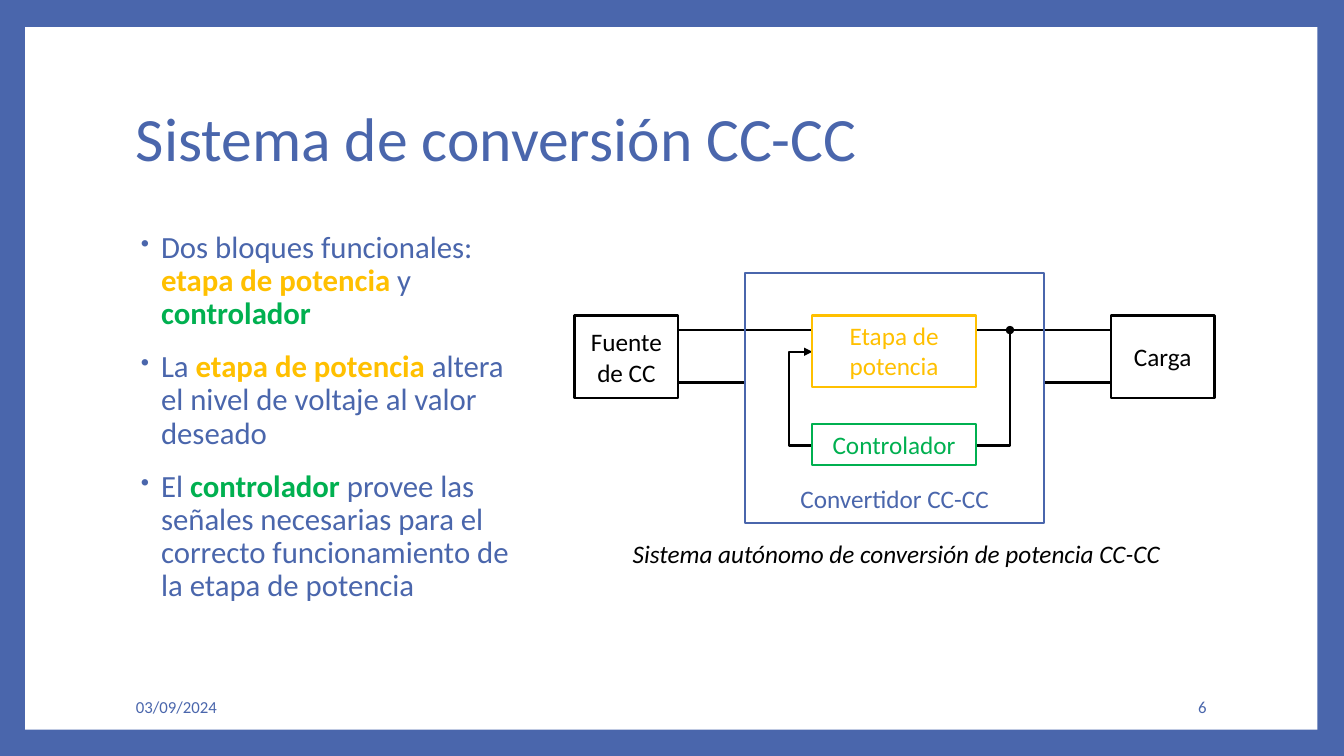
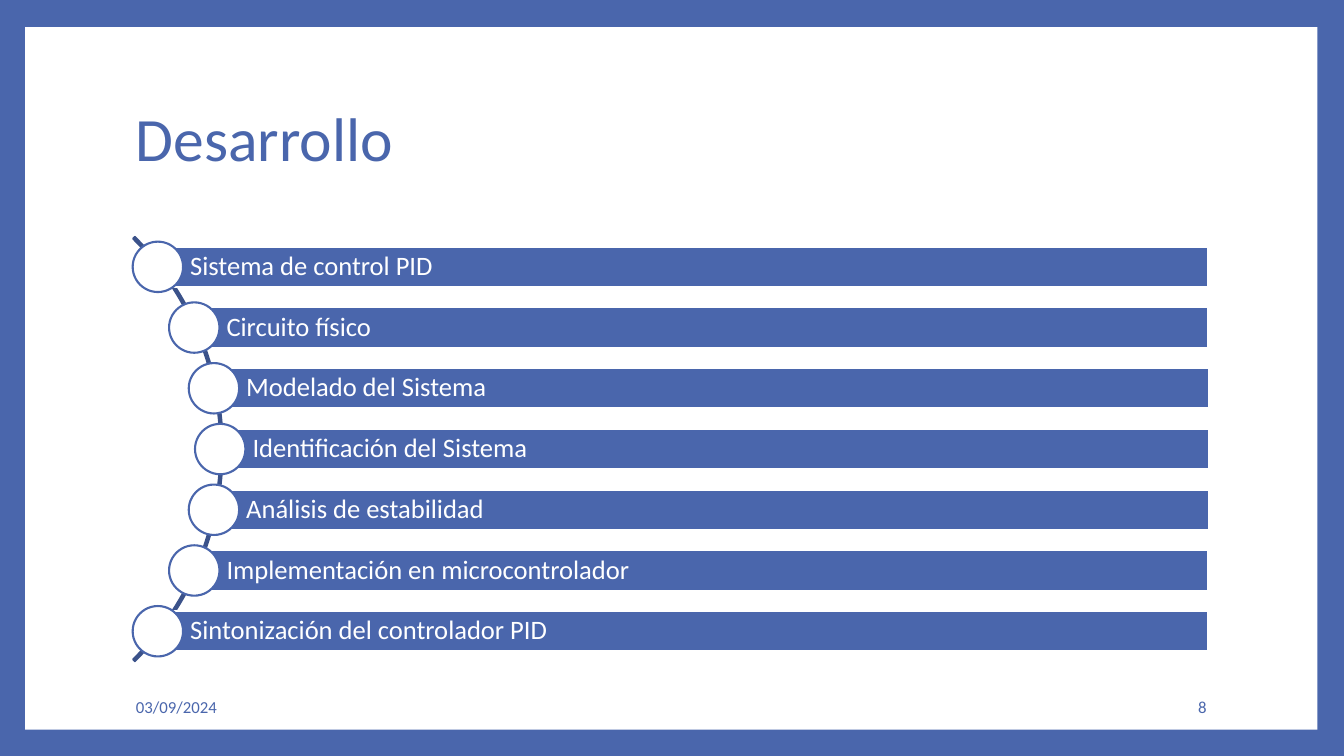
from math import sqrt

from lxml.etree import SubElement
from pptx import Presentation
from pptx.dml.color import RGBColor
from pptx.enum.shapes import MSO_CONNECTOR, MSO_SHAPE
from pptx.enum.text import MSO_ANCHOR, PP_ALIGN
from pptx.oxml.ns import qn
from pptx.util import Emu, Inches, Pt

COLORS = {
    "blue": "4A66AC",
    "navy": "3B528A",
    "white": "FFFFFF",
    "black": "000000",
    "amber": "FFC000",
    "green": "00B050",
}
FONT = "Calibri"
LINE_WIDTH = Pt(1.5)

# The slide is a grid of 160 columns by 90 rows of square cells.
COLUMNS, ROWS = 160, 90
CELL = Inches(1 / 12)

TITLE_FORMAT = {"line_spacing": 0.9}
BODY_FORMAT = {"line_spacing": 0.9, "space_before": Pt(14)}
CENTERED = {"alignment": PP_ALIGN.CENTER}
RIGHT = {"alignment": PP_ALIGN.RIGHT}


def add_box(slide, geometry, place, fill=None, line=None):
    """Add a preset shape, or a text box if geometry is None, at a grid place."""
    left, top, width, height = [Emu(round(cells * CELL)) for cells in place]
    if geometry is None:
        return slide.shapes.add_textbox(left, top, width, height)
    shape = slide.shapes.add_shape(geometry, left, top, width, height)
    shape.shadow.inherit = False
    if fill:
        shape.fill.solid()
        shape.fill.fore_color.rgb = RGBColor.from_string(COLORS[fill])
    else:
        shape.fill.background()
    if line:
        shape.line.color.rgb = RGBColor.from_string(COLORS[line])
        shape.line.width = LINE_WIDTH
    else:
        shape.line.fill.background()
    return shape


def write(shape, paragraphs, size, color, anchor=MSO_ANCHOR.TOP, layout=None, italic=False):
    """Fill a shape with paragraphs of (text, accent color or None) runs."""
    frame = shape.text_frame
    frame.word_wrap = True
    frame.vertical_anchor = anchor
    for index, runs in enumerate(paragraphs):
        paragraph = frame.add_paragraph() if index else frame.paragraphs[0]
        for name, value in (layout or {}).items():
            setattr(paragraph, name, value)
        for text, accent in runs:
            run = paragraph.add_run()
            run.text = text
            font_format = {"name": FONT, "size": Pt(size), "bold": bool(accent), "italic": italic}
            for name, value in font_format.items():
                setattr(run.font, name, value)
            run.font.color.rgb = RGBColor.from_string(COLORS[accent or color])


presentation = Presentation()
presentation.slide_width = COLUMNS * CELL
presentation.slide_height = ROWS * CELL

# Frame, title and footer of every slide
slides = []
for title, number in [("Sistema de conversión CC-CC", "6"), ("Desarrollo", "8")]:
    slide = presentation.slides.add_slide(presentation.slide_layouts[6])
    slide.background.fill.solid()
    slide.background.fill.fore_color.rgb = RGBColor.from_string(COLORS["blue"])
    add_box(slide, MSO_SHAPE.RECTANGLE, (3, 3.24, 153.84, 83.64), "white")
    for text, place, size, layout in [
        (title, (15, 8, 129.6, 17.76), 44, TITLE_FORMAT),
        ("03/09/2024", (15, 81.72, 30.6, 4.8), 12, None),
        (number, (122.4, 81.72, 22.44, 4.8), 12, RIGHT),
    ]:
        write(add_box(slide, None, place), [[(text, None)]], size, "blue", MSO_ANCHOR.MIDDLE, layout)
    slides.append(slide)
system_slide, development_slide = slides

# Bulleted text of the system slide
bullets = add_box(system_slide, None, (15, 27, 47.64, 53))
write(
    bullets,
    [
        [
            ("Dos bloques funcionales: ", None),
            ("etapa de potencia ", "amber"),
            ("y ", None),
            ("controlador", "green"),
        ],
        [
            ("La ", None),
            ("etapa de potencia ", "amber"),
            ("altera el nivel de voltaje al valor deseado", None),
        ],
        [
            ("El ", None),
            ("controlador", "green"),
            (" provee las señales necesarias para el correcto funcionamiento de la etapa de potencia", None),
        ],
    ],
    22,
    "blue",
    layout=BODY_FORMAT,
)
for paragraph in bullets.text_frame.paragraphs:
    properties = paragraph._p.get_or_add_pPr()
    properties.set("marL", str(Inches(0.25)))
    properties.set("indent", str(Inches(-0.2)))
    bullet_color = SubElement(properties, qn("a:buClr"))
    SubElement(bullet_color, qn("a:srgbClr"), val=COLORS["blue"])
    SubElement(properties, qn("a:buSzPct"), val="80000")
    SubElement(properties, qn("a:buChar"), char="•")

# Block diagram: edges of the blocks, then wires, then blocks
source_left, source_right = 68.4, 80.76
converter_left, converter_right = 88.68, 124.32
stage_left, stage_right = 96.72, 116.16
load_left = 132.24
block_width, block_top = source_right - source_left, 37.56
stage_width = stage_right - stage_left
wire_top, wire_bottom = 39.3, 45.54
control_row, feedback_row = 53.04, 41.88
feedback_column, sense_column = 93.96, 120.24
feedback_start = stage_left + 0.24
feedback_bend = (feedback_start - feedback_column) / (feedback_start - stage_left)

straight, elbow = MSO_CONNECTOR.STRAIGHT, MSO_CONNECTOR.ELBOW
for kind, begin, end, preset, bend, arrowhead in [
    (straight, (stage_right, wire_top), (load_left, wire_top), "line", None, None),
    (straight, (source_right, wire_top), (stage_left, wire_top), "line", None, None),
    (straight, (source_right, wire_bottom), (converter_left, wire_bottom), "line", None, None),
    (straight, (converter_right, wire_bottom), (load_left, wire_bottom), "line", None, None),
    (elbow, (feedback_start, control_row), (stage_left, feedback_row), "bentConnector3", feedback_bend, "triangle"),
    (elbow, (stage_right, control_row), (sense_column, wire_top), "bentConnector2", None, "oval"),
]:
    ends = [Emu(round(cells * CELL)) for cells in begin + end]
    wire = system_slide.shapes.add_connector(kind, *ends)
    wire.line.color.rgb = RGBColor.from_string(COLORS["black"])
    wire.line.width = LINE_WIDTH
    properties = wire._element.spPr
    geometry = properties.find(qn("a:prstGeom"))
    geometry.set("prst", preset)
    if bend:
        guides = geometry.find(qn("a:avLst"))
        SubElement(guides, qn("a:gd"), name="adj1", fmla=f"val {round(bend * 100000)}")
    if arrowhead:
        SubElement(properties.find(qn("a:ln")), qn("a:tailEnd"), type=arrowhead)
    SubElement(properties, qn("a:effectLst"))

add_box(
    system_slide,
    MSO_SHAPE.RECTANGLE,
    (converter_left, 32.52, converter_right - converter_left, 29.76),
    line="blue",
)
for text, place, color, anchor in [
    ("Etapa de potencia", (stage_left, block_top, stage_width, 8.52), "amber", MSO_ANCHOR.TOP),
    ("Controlador", (stage_left, 50.52, stage_width, 4.8), "green", MSO_ANCHOR.TOP),
    ("Carga", (load_left, block_top, block_width, 9.84), "black", MSO_ANCHOR.MIDDLE),
    ("Fuente de CC", (source_left, block_top, block_width, 9.84), "black", MSO_ANCHOR.MIDDLE),
]:
    block = add_box(system_slide, MSO_SHAPE.RECTANGLE, place, "white", color)
    write(block, [[(text, None)]], 18, color, anchor, CENTERED)

converter_label = add_box(system_slide, None, (93, 57, 27, 4.8))
write(converter_label, [[("Convertidor CC-CC", None)]], 18, "blue", layout=CENTERED)
caption = add_box(system_slide, None, (72.4, 63.96, 68.64, 5.64))
write(
    caption,
    [[("Sistema autónomo de conversión de potencia CC-CC", None)]],
    18,
    "black",
    layout=BODY_FORMAT | CENTERED,
    italic=True,
)

# Topics: circles sit on an arc, each bar starts at the centre of its circle
topics = [
    "Sistema de control PID",
    "Circuito físico",
    "Modelado del Sistema",
    "Identificación del Sistema",
    "Análisis de estabilidad",
    "Implementación en microcontrolador",
    "Sintonización del controlador PID",
]
arc_x, arc_y, arc_radius, circle_radius = -9.18, 53.46, 35.7, 3
orbit_radius = 35.4
topic_pitch, bar_height, bar_right = 7.23, 4.8, 143.88

arc = add_box(
    development_slide,
    MSO_SHAPE.BLOCK_ARC,
    (arc_x - arc_radius, arc_y - arc_radius, 2 * arc_radius, 2 * arc_radius),
    line="navy",
)
for index, value in enumerate((189, 27, 0.004)):
    arc.adjustments[index] = value

for index, topic in enumerate(topics):
    offset = (index - (len(topics) - 1) / 2) * topic_pitch
    x, y = arc_x + sqrt(orbit_radius**2 - offset**2), arc_y + offset
    bar = add_box(
        development_slide,
        MSO_SHAPE.RECTANGLE,
        (x, y - bar_height / 2, bar_right - x, bar_height),
        "blue",
        "white",
    )
    write(bar, [[(topic, None)]], 19, "white", MSO_ANCHOR.MIDDLE, TITLE_FORMAT | {"alignment": PP_ALIGN.LEFT})
    margins = {"margin_left": 0.32, "margin_top": 0.05, "margin_right": 0.05, "margin_bottom": 0.05}
    for name, value in margins.items():
        setattr(bar.text_frame, name, Inches(value))
    add_box(
        development_slide,
        MSO_SHAPE.OVAL,
        (x - circle_radius, y - circle_radius, 2 * circle_radius, 2 * circle_radius),
        "white",
        "blue",
    )

presentation.save("out.pptx")
